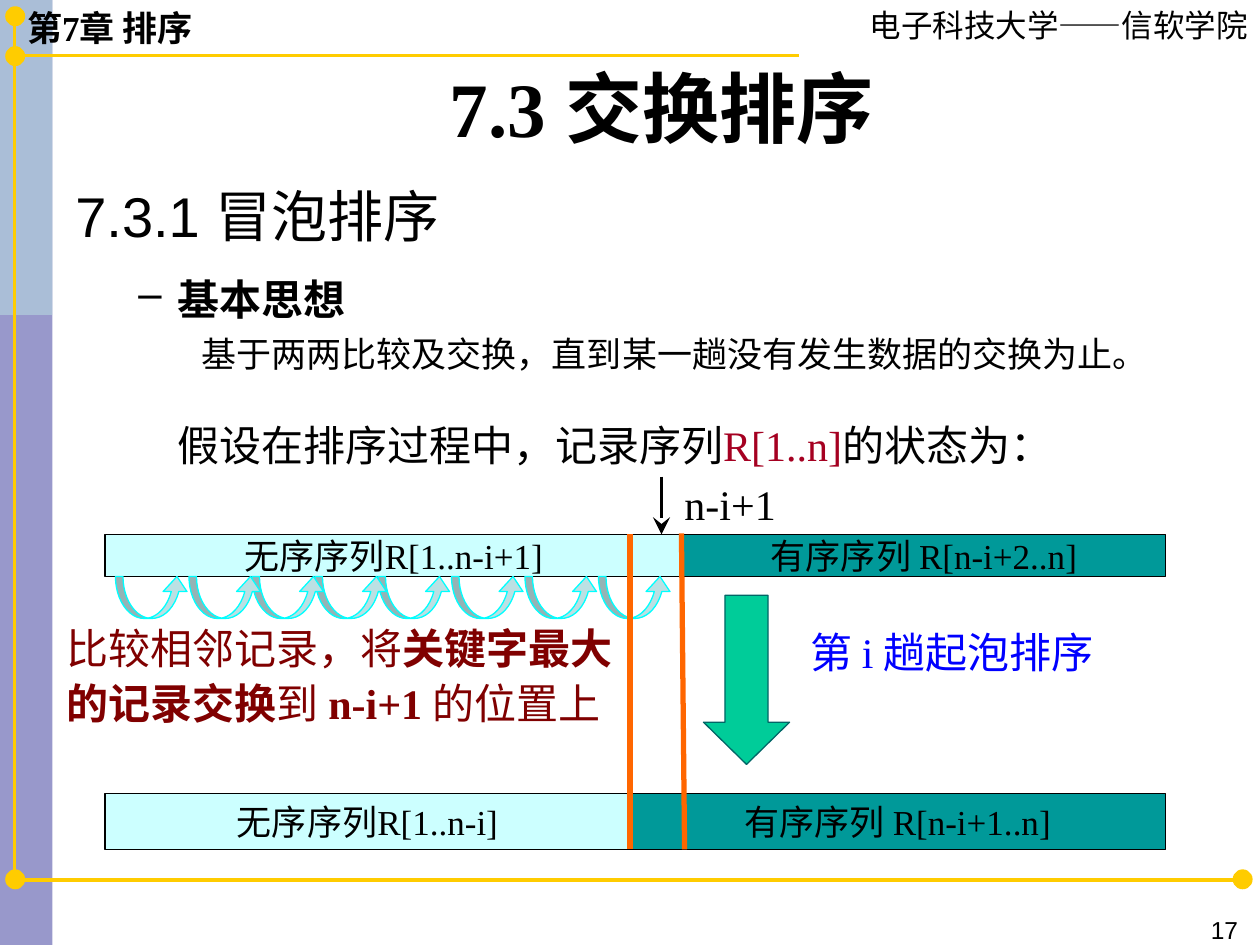
"""Bubble sort slide laid out on a grid of 120 columns by 90 rows."""
from lxml import etree
from pptx import Presentation, util as u
from pptx.dml.color import RGBColor
from pptx.enum import shapes as es, text as et
from pptx.oxml.ns import qn

GOLD = RGBColor(0xFF, 0xCC, 0x00)
NAVY = RGBColor(0x33, 0x33, 0x99)
PALE = RGBColor(0xBB, 0xE0, 0xE3)
BLACK = RGBColor(0x00, 0x00, 0x00)
WINE = RGBColor(0xA5, 0x00, 0x21)
BLUE = RGBColor(0x00, 0x00, 0xFF)
MAROON = RGBColor(0x80, 0x00, 0x00)
ICE = RGBColor(0xCC, 0xFF, 0xFF)
TEAL = RGBColor(0x00, 0x99, 0x99)
GREEN = RGBColor(0x00, 0xCC, 0x99)
PINE = RGBColor(0x00, 0x66, 0x66)
CYAN = RGBColor(0x00, 0xFF, 0xFF)
ORANGE = RGBColor(0xFF, 0x66, 0x00)

ROMAN, SANS, HAN = "Times New Roman", "Arial", "Noto Sans CJK SC"
LEFT, MID, RIGHT = et.PP_ALIGN.LEFT, et.PP_ALIGN.CENTER, et.PP_ALIGN.RIGHT
KIND = es.MSO_SHAPE

deck = Presentation()
deck.slide_width, deck.slide_height = u.Inches(10), u.Inches(7.5)
UNIT = deck.slide_width / 120
slide = deck.slides.add_slide(deck.slide_layouts[6])
items = slide.shapes


def box(kind, spot, fill, edge=None):
    shape = items.add_shape(kind, *[round(n * UNIT) for n in spot])
    shape.shadow.inherit = False
    shape.fill.solid()
    shape.fill.fore_color.rgb = fill
    if edge is None:
        shape.line.fill.background()
    else:
        shape.line.color.rgb = edge
        shape.line.width = u.Pt(0.75)
    return shape


def write(para, words, size, color=BLACK, bold=False, face=ROMAN):
    run = para.add_run()
    run.text = words
    font = run.font
    font.size, font.bold, font.name = u.Pt(size), bold, face
    font.color.rgb = color
    etree.SubElement(run._r.get_or_add_rPr(), qn("a:ea"), typeface=HAN)


for rows, tint, share in [(90, NAVY, 50), (30, PALE, 53)]:
    strip = box(KIND.RECTANGLE, (0, 0, 5, rows), tint)
    shade = strip.fill._xPr.find(".//" + qn("a:srgbClr"))
    etree.SubElement(shade, qn("a:alpha"), val=str(share * 1000))

for x, y in [(0.5, 0.6), (0.5, 4.4), (0.5, 82.8), (117.4, 82.8)]:
    box(KIND.OVAL, (x, y, 1.9, 1.9), GOLD)

notes = [
    ((1.4, 0, 22.7, 5.3), LEFT, 1, [("第7章 排序", 20, BLACK, True)]),
    ((76.1, 0, 43.9, 4.8), RIGHT, 1,
     [("电子科技大学——信软学院", 18, BLACK, False, HAN)]),
    ((87.4, 86.6, 31.7, 2.6), RIGHT, 1, [("17", 14, BLACK, False, SANS)]),
    ((6, 3.6, 114, 13.1), MID, 1, [("7.3 交换排序", 44, BLACK, True)]),
    ((7.7, 38.4, 112.3, 7), LEFT, 1.2,
     [("假设在排序过程中，记录序列", 24), ("R[1..n]", 24, WINE),
      ("的状态为：", 24)]),
    ((76, 58.4, 44, 6.7), LEFT, 1.15, [("第 i 趟起泡排序", 24, BLUE)]),
    ((64, 45, 14, 6), LEFT, 1, [("n-i+1", 24)]),
    ((5.2, 58.2, 55.2, 17), LEFT, 1.1,
     [("比较相邻记录，将", 24, MAROON),
      ("关键字最大的记录交换", 24, MAROON, True),
      ("到 ", 24, MAROON), ("n-i+1 ", 24, MAROON, True),
      ("的位置上", 24, MAROON)]),
]
for spot, side, lead, runs in notes:
    frame = items.add_textbox(*[round(n * UNIT) for n in spot]).text_frame
    frame.word_wrap = True
    para = frame.paragraphs[0]
    para.alignment = side
    if lead != 1:
        para.line_spacing = lead
    if lead == 1.2:
        para._p.get_or_add_pPr().set("indent", str(u.Pt(48)))
    if side == MID:
        frame.vertical_anchor = et.MSO_ANCHOR.MIDDLE
    for run in runs:
        write(para, *run)

body = items.add_textbox(*[round(n * UNIT) for n in (6, 16.7, 108, 21.7)])
frame = body.text_frame
frame.word_wrap = True
points = [
    ("7.3.1 冒泡排序", 32, False, SANS, 0.38, -0.38, 0, 8),
    ("基本思想", 24, True, ROMAN, 0.81, -0.31, 6, 0),
    ("基于两两比较及交换，直到某一趟没有发生数据的交换为止。",
     20, False, ROMAN, 1.25, -0.25, 5, 0),
]
for level, (words, size, bold, face, edge, hang, above, below) in enumerate(points):
    para = frame.add_paragraph() if level else frame.paragraphs[0]
    para.level = level
    para.space_before, para.space_after = u.Pt(above), u.Pt(below)
    props = para._p.get_or_add_pPr()
    props.set("marL", str(u.Inches(edge)))
    props.set("indent", str(u.Inches(hang)))
    if level == 1:
        etree.SubElement(props, qn("a:buChar"), char="–")
    write(para, words, size, BLACK, bold, face)

bars = [
    ((10, 50.9, 55, 4), ICE, "无序序列R[1..n-i+1]"),
    ((65, 50.9, 46, 4), TEAL, "有序序列 R[n-i+2..n]"),
    ((10, 75.6, 50, 5.3), ICE, "无序序列R[1..n-i]"),
    ((60, 75.6, 51, 5.3), TEAL, "有序序列 R[n-i+1..n]"),
]
for spot, fill, words in bars:
    frame = box(KIND.RECTANGLE, spot, fill, BLACK).text_frame
    frame.word_wrap = False
    frame.vertical_anchor = et.MSO_ANCHOR.MIDDLE
    frame.paragraphs[0].alignment = MID
    write(frame.paragraphs[0], words, 20)

down = box(KIND.DOWN_ARROW, (67, 56.7, 8.2, 16.1), GREEN, PINE)
down.adjustments[1] = 0.49

for x in (36, 57, 50, 43, 30, 24, 18, 11):
    hop = box(KIND.CURVED_UP_ARROW, (x, 54.9, 7, 4), PALE, CYAN)
    for i, share in enumerate((0.18, 0.57, 0.36)):
        hop.adjustments[i] = share

lines = [
    (2.4, 83.8, 118.5, 83.8, GOLD, 2, False),
    (1.4, 5.3, 76.1, 5.3, GOLD, 2, False),
    (1.4, 83.8, 1.4, 1.5, GOLD, 2, False),
    (63, 45.4, 63, 50.9, BLACK, 1.5, True),
    (64.9, 50.8, 65.2, 80.9, ORANGE, 3, False),
    (60, 50.9, 60, 80.9, ORANGE, 3, False),
]
for *ends, color, width, tip in lines:
    rule = items.add_connector(
        es.MSO_CONNECTOR.STRAIGHT, *[round(n * UNIT) for n in ends])
    rule.line.color.rgb = color
    rule.line.width = u.Pt(width)
    if tip:
        etree.SubElement(rule.line._get_or_add_ln(), qn("a:tailEnd"),
                         type="stealth", w="lg", len="lg")
    etree.SubElement(rule._element.spPr, qn("a:effectLst"))

deck.save("out.pptx")
